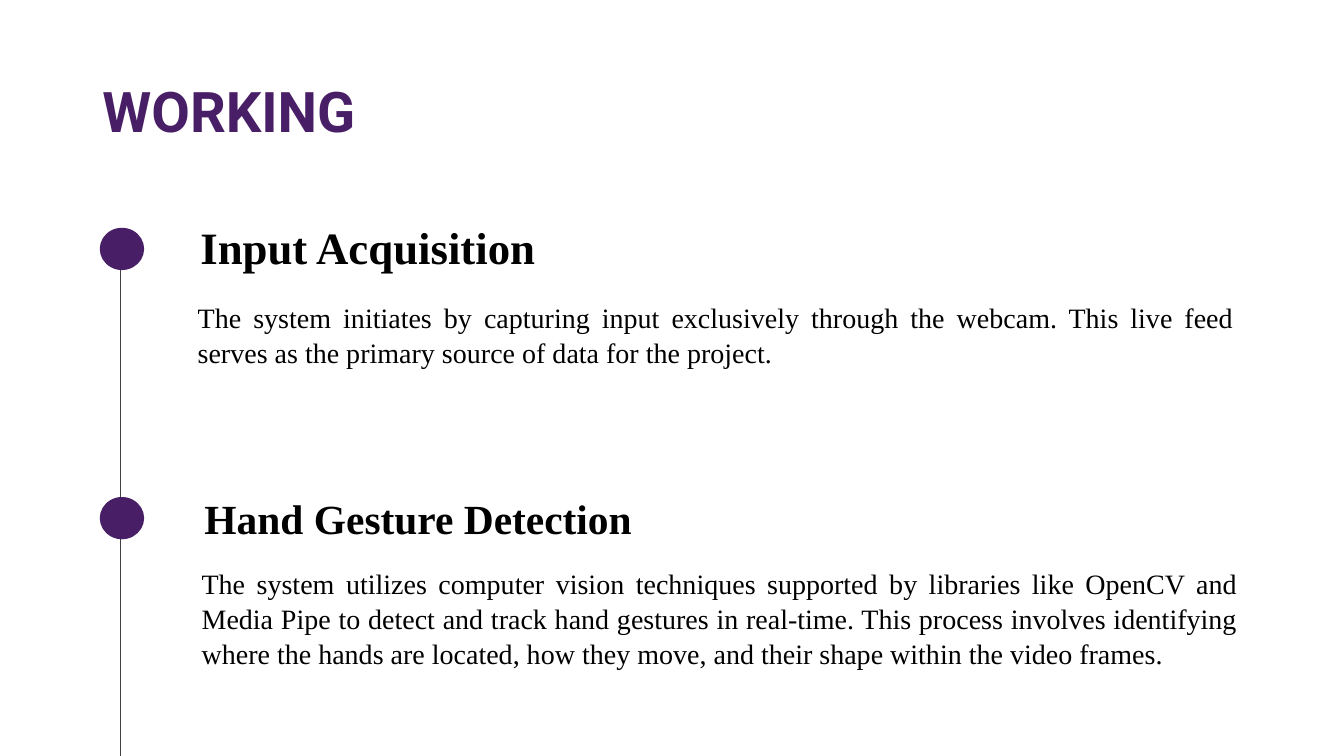
from lxml.etree import SubElement
from pptx import Presentation
from pptx.dml.color import RGBColor
from pptx.enum.shapes import MSO_CONNECTOR, MSO_SHAPE
from pptx.enum.text import MSO_ANCHOR, MSO_AUTO_SIZE, PP_ALIGN
from pptx.oxml.ns import qn
from pptx.util import Pt

COLOURS = {"purple": "481F67", "line": "404040", "text": "000000"}
SERIF = "Times New Roman"
WIDTH, HEIGHT = 960, 540
DOT_LEFT, DOT_WIDTH, DOT_HEIGHT = 71.3, 31.7, 30.2
LINE_X = 85.7
BODY_WIDTH, HEADING_HEIGHT = 754.6, 74.2

STEPS = [
    {
        "heading": "Input Acquisition",
        "size": 32,
        "body": "The system initiates by capturing input exclusively through the webcam. "
                "This live feed serves as the primary source of data for the project.",
        "top": 162.7,
        "left": 134,
        "heading_box": (136, 139, 296.6, HEADING_HEIGHT),
        "body_top": 209.5,
        "body_height": 77.8,
    },
    {
        "heading": "Hand Gesture Detection",
        "size": 29.6,
        "body": "The system utilizes computer vision techniques supported by libraries like "
                "OpenCV and Media Pipe to detect and track hand gestures in real-time. "
                "This process involves identifying where the hands are located, how they "
                "move, and their shape within the video frames.",
        "top": 355,
        "left": 136.8,
        "heading_box": (139, 332.6, 340.6, HEADING_HEIGHT),
        "body_top": 399.6,
        "body_height": 96.5,
    },
]


def colour(name):
    return RGBColor.from_string(COLOURS[name])


def place(shape, box):
    shape.left, shape.top, shape.width, shape.height = (Pt(value) for value in box)


def write(shape, text, font, size, ink, bold=False, align=PP_ALIGN.LEFT,
          anchor=MSO_ANCHOR.TOP, spacing=1.0):
    frame = shape.text_frame
    frame.word_wrap = True
    frame.auto_size = MSO_AUTO_SIZE.NONE
    frame.vertical_anchor = anchor
    frame.text = text
    para = frame.paragraphs[0]
    para.alignment = align
    para.line_spacing = spacing
    para.space_before = Pt(0)
    properties = para._p.get_or_add_pPr()
    properties.set("marL", "0")
    properties.set("indent", "0")
    SubElement(properties, qn("a:buNone"))
    para.font.name = font
    para.font.size = Pt(size)
    para.font.bold = bold
    para.font.color.rgb = colour(ink)


def add_title(page, box):
    title = page.shapes.title
    place(title, box)
    write(title, "WORKING", "Roboto", 40, "purple", bold=True,
          anchor=MSO_ANCHOR.MIDDLE, spacing=0.9)


def add_timeline(page, x, top, bottom):
    line = page.shapes.add_connector(
        MSO_CONNECTOR.STRAIGHT, Pt(x), Pt(top), Pt(x), Pt(bottom))
    line.line.color.rgb = colour("line")
    line.line.width = Pt(0.5)
    SubElement(line._element.spPr, qn("a:effectLst"))


def add_step(page, step, body):
    dot = page.shapes.add_shape(
        MSO_SHAPE.OVAL, Pt(DOT_LEFT), Pt(step["top"]), Pt(DOT_WIDTH), Pt(DOT_HEIGHT))
    dot.shadow.inherit = False
    dot.fill.solid()
    dot.fill.fore_color.rgb = colour("purple")
    dot.line.fill.background()

    heading = page.shapes.add_textbox(*(Pt(value) for value in step["heading_box"]))
    write(heading, step["heading"], SERIF, step["size"], "text", bold=True,
          anchor=MSO_ANCHOR.MIDDLE)

    place(body, (step["left"], step["body_top"], BODY_WIDTH, step["body_height"]))
    write(body, step["body"], SERIF, 20, "text", align=PP_ALIGN.JUSTIFY, spacing=1.05)


def main():
    deck = Presentation()
    deck.slide_width, deck.slide_height = Pt(WIDTH), Pt(HEIGHT)
    page = deck.slides.add_slide(deck.slide_layouts.get_by_name("Two Content"))
    add_title(page, (66, 29.5, 828, 104.4))
    add_timeline(page, LINE_X, STEPS[0]["top"] + DOT_HEIGHT, HEIGHT)
    bodies = [page.placeholders[1], page.placeholders[2]]
    for step, body in zip(STEPS, bodies):
        add_step(page, step, body)
    deck.save("out.pptx")


if __name__ == "__main__":
    main()
